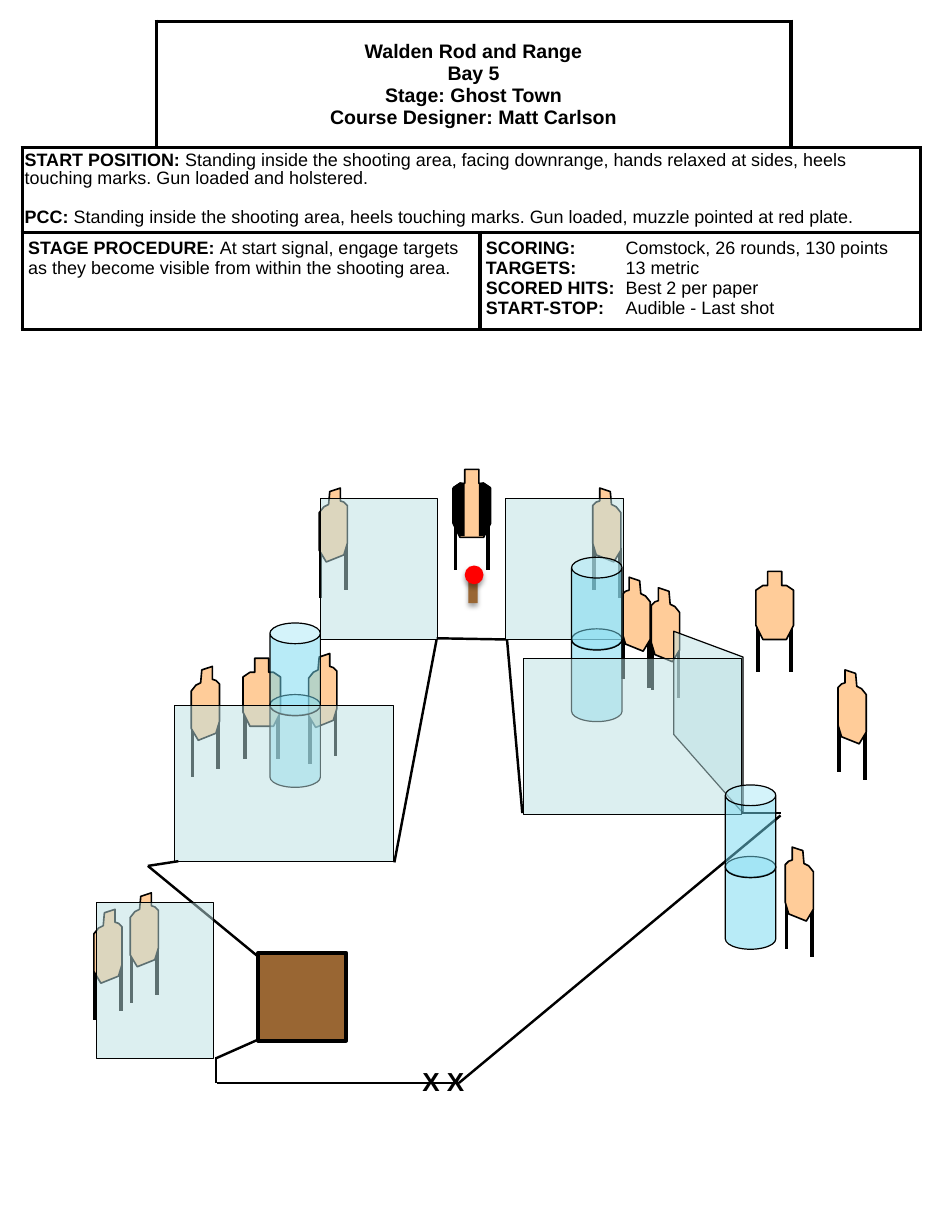
"""Build the Ghost Town stage briefing slide with its bay diagram."""
import pptx
import pptx.util
import pptx.dml.color
import pptx.enum.shapes
import pptx.enum.text
import pptx.oxml.ns
from lxml import etree

U = 9144
INK = {"black": "000000", "white": "FFFFFF", "tan": "FFCC99", "pane": "BBE0E3",
       "can": "73D9F1", "brown": "996633", "red": "FF0000"}
Pt = pptx.util.Pt
qn = pptx.oxml.ns.qn
Kind = pptx.enum.shapes.MSO_SHAPE
Align = pptx.enum.text.PP_ALIGN


def paint(form, hue, wide, alpha=100):
    form.shadow.inherit = False
    form.fill.solid()
    form.fill.fore_color.rgb = pptx.dml.color.RGBColor.from_string(INK[hue])
    if alpha < 100:
        fill = form._element.spPr.find(qn("a:solidFill"))[0]
        etree.SubElement(fill, qn("a:alpha"), val=str(alpha * 1000))
    if wide:
        form.line.width = Pt(wide)
        form.line.color.rgb = pptx.dml.color.RGBColor.from_string(INK["black"])
    else:
        form.line.fill.background()


def write(para, text, size, bold):
    run = para.add_run()
    run.text = text
    run.font.name = "Arial"
    run.font.size = Pt(size)
    run.font.bold = bold
    run.font.color.rgb = pptx.dml.color.RGBColor.from_string(INK["black"])


deck = pptx.Presentation()
deck.slide_width, deck.slide_height = 800 * U, 1050 * U
slide = deck.slides.add_slide(deck.slide_layouts[6])

table = slide.shapes.add_table(3, 4, 19 * U, 18 * U, 765 * U, 263 * U).table
table.first_row = table.horz_banding = False
for col, wide in zip(table.columns, (114, 276, 265, 110)):
    col.width = wide * U
for row, high in zip(table.rows, (108, 72, 83)):
    row.height = high * U
for r in range(3):
    for c in range(4):
        cell = table.cell(r, c)
        cell.fill.solid()
        cell.fill.fore_color.rgb = pptx.dml.color.RGBColor.from_string(INK["white"])
        sides = {(0, 0): "RB", (0, 3): "LB"}.get((r, c), "LRTB")
        for spot, side in enumerate("LRTB"):
            edge = etree.Element(qn("a:ln" + side), w=str(Pt(2.25)))
            if side in sides:
                fill = etree.SubElement(edge, qn("a:solidFill"))
                etree.SubElement(fill, qn("a:srgbClr"), val=INK["black"])
            else:
                etree.SubElement(edge, qn("a:noFill"))
            cell._tc.get_or_add_tcPr().insert(spot, edge)
for first, last in (((0, 1), (0, 2)), ((1, 0), (1, 3)), ((2, 0), (2, 1)), ((2, 2), (2, 3))):
    table.cell(*first).merge(table.cell(*last))

title = table.cell(0, 1)
title.vertical_anchor = pptx.enum.text.MSO_ANCHOR.MIDDLE
para = title.text_frame.paragraphs[0]
para.alignment = Align.CENTER
for n, line in enumerate(("Walden Rod and Range", "Bay 5", "Stage: Ghost Town",
                          "Course Designer: Matt Carlson")):
    if n:
        para.add_line_break()
    write(para, line, 12, True)

notes = [
    (1, 0, 2, 4, [
        ("START POSITION:", " Standing inside the shooting area, facing downrange, hands relaxed "
         "at sides, heels touching marks. Gun loaded and holstered."),
        ("PCC:", " Standing inside the shooting area, heels touching marks. Gun loaded, "
         "muzzle pointed at red plate.")]),
    (2, 0, 5, 5, [
        ("STAGE PROCEDURE: ", "At start signal, engage targets as they become visible "
         "from within the shooting area.")]),
    (2, 2, 5, 5, [
        ("SCORING:", "\tComstock, 26 rounds, 130 points"),
        ("TARGETS:", "\t13 metric"),
        ("SCORED HITS:", "\tBest 2 per paper"),
        ("START-STOP:", "\tAudible - Last shot")]),
]
for r, c, side, top, lines in notes:
    cell = table.cell(r, c)
    cell.margin_left = cell.margin_right = side * U
    cell.margin_top = cell.margin_bottom = top * U
    for n, (head, body) in enumerate(lines):
        para = cell.text_frame.add_paragraph() if n else cell.text_frame.paragraphs[0]
        if body.startswith("\t"):
            tabs = etree.SubElement(para._p.get_or_add_pPr(), qn("a:tabLst"))
            etree.SubElement(tabs, qn("a:tab"), pos=str(119 * U), algn="l")
        if r == 1:
            para.line_spacing = 0.9
            if n:
                para.space_before = Pt(13)
        write(para, head, 11, True)
        write(para, body, 11, False)

front = [(10, 0), (22, 0), (22, 12), (26, 12), (32, 16), (32, 46),
         (26, 58), (6, 58), (0, 46), (0, 16), (6, 12), (10, 12)]
tilt = [(15, 3), (6, 0), (6, 11), (3, 12), (0, 15), (0, 47),
        (3, 57), (18, 63), (24, 53), (24, 21), (20, 16), (16, 14)]
cover = [(22, 12), (22, 57), (26, 57), (32, 46), (32, 15), (26, 11)]
panel = [(0, 88), (59, 155), (59, 22), (0, 0)]
scene = [
    ("tilt", 530, 492), ("tilt", 555, 501), ("front", 207, 561), ("line", 665, 693, 631, 693),
    ("tilt", 505, 416), ("pane", 431, 425, 100, 120), ("flip", 272, 416),
    ("pane", 273, 425, 100, 120), ("line", 126, 738, 222, 817), ("flip", 263, 557),
    ("flip", 80, 775), ("flip", 111, 761), ("can", 230, 531), ("panel", 574, 538),
    ("can", 487, 475), ("box", 220, 812, 75, 75), ("line", 184, 902, 220, 886),
    ("flip", 163, 568), ("line", 391, 923, 185, 923), ("line", 372, 545, 336, 735),
    ("pane", 82, 769, 100, 133), ("pane", 149, 601, 186, 133), ("line", 152, 734, 126, 738),
    ("pane", 446, 561, 186, 133), ("line", 432, 545, 445, 693), ("tilt", 714, 571),
    ("front", 644, 487), ("line", 184, 923, 184, 901), ("line", 391, 923, 665, 695),
    ("line", 431, 545, 372, 544), ("cover", 386, 400), ("tilt", 669, 722),
    ("can", 618, 669), ("plate", 396, 482),
]
for kind, x, y, *size in scene:
    wires, polys, solids = [], [], []
    if kind == "line":
        wires = [(x, y, *size, 1.5)]
    elif kind in ("front", "cover"):
        wires = [(x + dx, y + 43, x + dx, y + 86, 2.25) for dx in (2, 30)]
        polys = [(front, "tan", 1, 100)]
        if kind == "cover":
            polys += [(cover, "black", 0, 100),
                      ([(32 - px, py) for px, py in cover], "black", 0, 100)]
    elif kind in ("tilt", "flip"):
        turn = kind == "flip"
        for dx, dy in ((23, 51), (1, 44)):
            leg = x + (24 - dx if turn else dx)
            wires.append((leg, y + dy, leg, y + dy + 43, 2.25))
        polys = [([(24 - px if turn else px, py) for px, py in tilt], "tan", 1, 100)]
    elif kind == "panel":
        polys = [(panel, "pane", 0.75, 50)]
    elif kind == "pane":
        solids = [(Kind.RECTANGLE, x, y, *size, "pane", 0.75, 50)]
    elif kind == "box":
        solids = [(Kind.RECTANGLE, x, y, *size, "brown", 2.25, 100)]
    elif kind == "can":
        solids = [(Kind.CAN, x, y + dy, 43, 79, "can", 0.75, 50) for dy in (61, 0)]
    else:
        solids = [(Kind.RECTANGLE, x + 3, y + 10, 8, 22, "brown", 0, 100),
                  (Kind.OVAL, x, y, 16, 16, "red", 0, 100)]

    many = len(wires) + len(polys) + len(solids) > 1
    host = slide.shapes.add_group_shape().shapes if many else slide.shapes
    for *ends, wide in wires:
        wire = host.add_connector(pptx.enum.shapes.MSO_CONNECTOR.STRAIGHT, *(v * U for v in ends))
        wire.line.width = Pt(wide)
        wire.line.color.rgb = pptx.dml.color.RGBColor.from_string(INK["black"])
        etree.SubElement(wire._element.spPr, qn("a:effectLst"))
    for dots, hue, wide, alpha in polys:
        dots = [(x + px, y + py) for px, py in dots]
        pen = host.build_freeform(*dots[0], scale=U)
        pen.add_line_segments(dots[1:], close=True)
        paint(pen.convert_to_shape(), hue, wide, alpha)
    for form, left, top, wide, high, hue, edge, alpha in solids:
        solid = host.add_shape(form, left * U, top * U, wide * U, high * U)
        paint(solid, hue, edge, alpha)
        if kind == "can":
            solid.adjustments[0] = 0.41
        if kind == "plate":
            glow = etree.SubElement(solid._element.spPr.find(qn("a:effectLst")), qn("a:outerShdw"),
                                    blurRad=str(Pt(3.1)), dist=str(Pt(1.8)), dir="5400000",
                                    rotWithShape="0")
            tone = etree.SubElement(glow, qn("a:srgbClr"), val=INK["black"])
            etree.SubElement(tone, qn("a:alpha"), val="35000")

marks = slide.shapes.add_textbox(350 * U, 903 * U, 58 * U, 37 * U)
marks.text_frame.word_wrap = False
marks.text_frame.auto_size = pptx.enum.text.MSO_AUTO_SIZE.SHAPE_TO_FIT_TEXT
write(marks.text_frame.paragraphs[0], "X X", 16, True)

deck.save("out.pptx")
